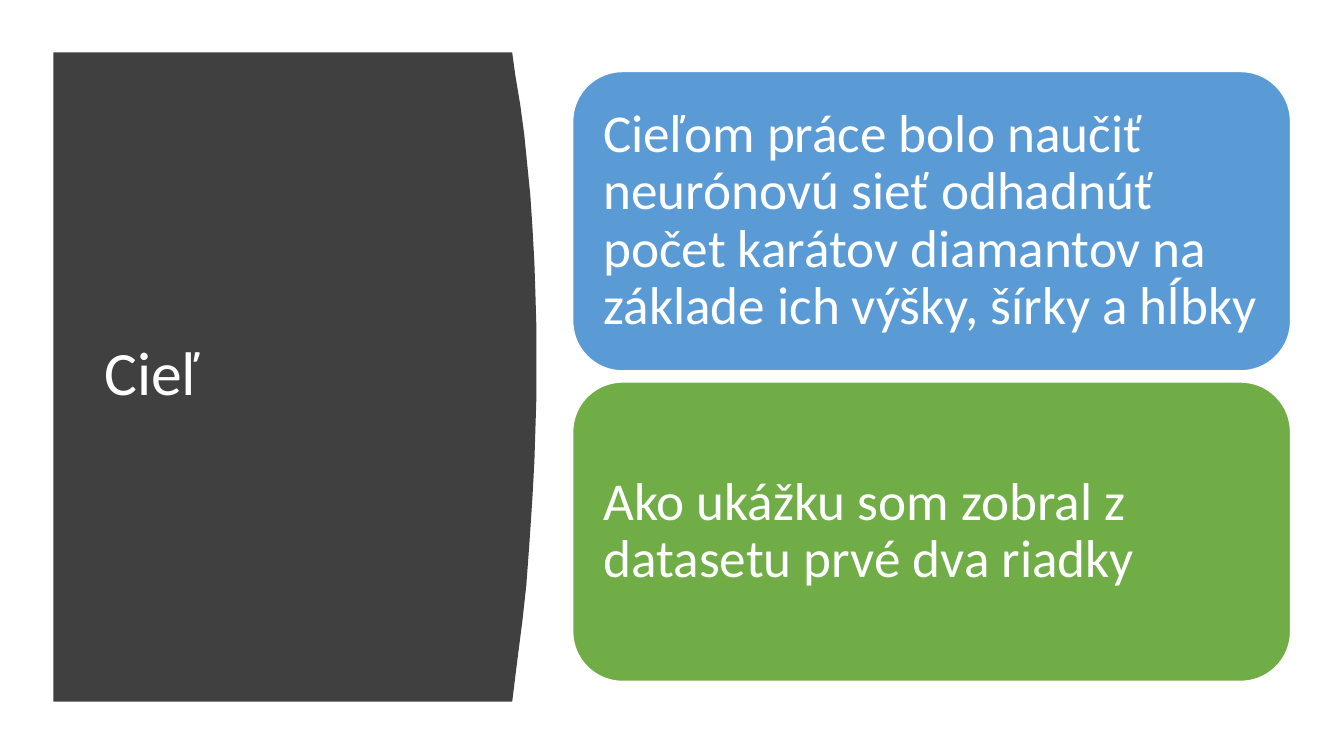
from pptx import Presentation
from pptx import util as u
from pptx.dml.color import RGBColor
from pptx.enum import shapes, text

EMU_PER_PX = 9144  # 100 px to the inch
TITLE_ONLY = 5


def px(length):
    return u.Emu(length * EMU_PER_PX)


def color(hex_string):
    return RGBColor.from_string(hex_string)


def write(shape, words, size, font="Calibri", ink="FFFFFF", inset=10):
    """Put one left-aligned, vertically centred paragraph into a shape."""
    frame = shape.text_frame
    frame.word_wrap = True
    frame.auto_size = text.MSO_AUTO_SIZE.NONE
    frame.vertical_anchor = text.MSO_ANCHOR.MIDDLE
    frame.margin_left = frame.margin_right = px(inset)
    frame.margin_top = frame.margin_bottom = px(inset)
    paragraph = frame.paragraphs[0]
    paragraph.alignment = text.PP_ALIGN.LEFT
    paragraph.line_spacing = 0.9
    run = paragraph.add_run()
    run.text = words
    run.font.name = font
    run.font.size = u.Pt(size)
    run.font.color.rgb = color(ink)


class SlideBuilder:
    title_size = 44
    card_size = 38
    panel_fill = "404040"
    border = "FFFFFF"

    def __init__(self, presentation):
        self.slide = presentation.slides.add_slide(
            presentation.slide_layouts[TITLE_ONLY])

    def title(self, words, left, top, width, height):
        title = self.slide.shapes.title
        title.left, title.top = px(left), px(top)
        title.width, title.height = px(width), px(height)
        write(title, words, self.title_size)

    def panel(self, points):
        """Draw a filled outline behind the title."""
        builder = self.slide.shapes.build_freeform(*points[0], scale=EMU_PER_PX)
        builder.add_line_segments(points[1:], close=True)
        panel = builder.convert_to_shape()
        panel.shadow.inherit = False
        panel.fill.solid()
        panel.fill.fore_color.rgb = color(self.panel_fill)
        panel.line.fill.background()
        self.slide.shapes.title._element.addprevious(panel._element)

    def card(self, words, fill, left, top, width, height):
        card = self.slide.shapes.add_shape(
            shapes.MSO_SHAPE.ROUNDED_RECTANGLE,
            px(left), px(top), px(width), px(height))
        card.shadow.inherit = False
        card.fill.solid()
        card.fill.fore_color.rgb = color(fill)
        card.line.color.rgb = color(self.border)
        card.line.width = u.Pt(1)
        write(card, words, self.card_size, inset=16)


PANEL_LEFT, PANEL_TOP, PANEL_BOTTOM = 53, 52, 696
CURVED_EDGE = [
    (508, PANEL_TOP), (511, 74), (516, 104), (520, 134), (523, 164),
    (526, 194), (528, 224), (530, 260), (531, 290), (532, 325), (532, 394),
    (531, 427), (530, 458), (528, 495), (525, 540), (522, 581), (518, 617),
    (514, 648), (511, 672), (508, PANEL_BOTTOM),
]
CARDS = [
    ("Cieľom práce bolo naučiť neurónovú sieť odhadnúť počet karátov "
     "diamantov na základe ich výšky, šírky a hĺbky", "5B9BD5"),
    ("Ako ukážku som zobral z datasetu prvé dva riadky", "70AD47"),
]
CARD_TOP, CARD_PITCH = 71, 308


def main():
    presentation = Presentation()
    presentation.slide_width, presentation.slide_height = px(1333), px(750)
    builder = SlideBuilder(presentation)
    builder.panel([(PANEL_LEFT, PANEL_TOP), *CURVED_EDGE,
                   (PANEL_LEFT, PANEL_BOTTOM)])
    builder.title("Cieľ", 94, 111, 374, 524)
    for row, (words, fill) in enumerate(CARDS):
        builder.card(words, fill, 568, CARD_TOP + row * CARD_PITCH, 712, 297)
    presentation.save("out.pptx")


if __name__ == "__main__":
    main()
